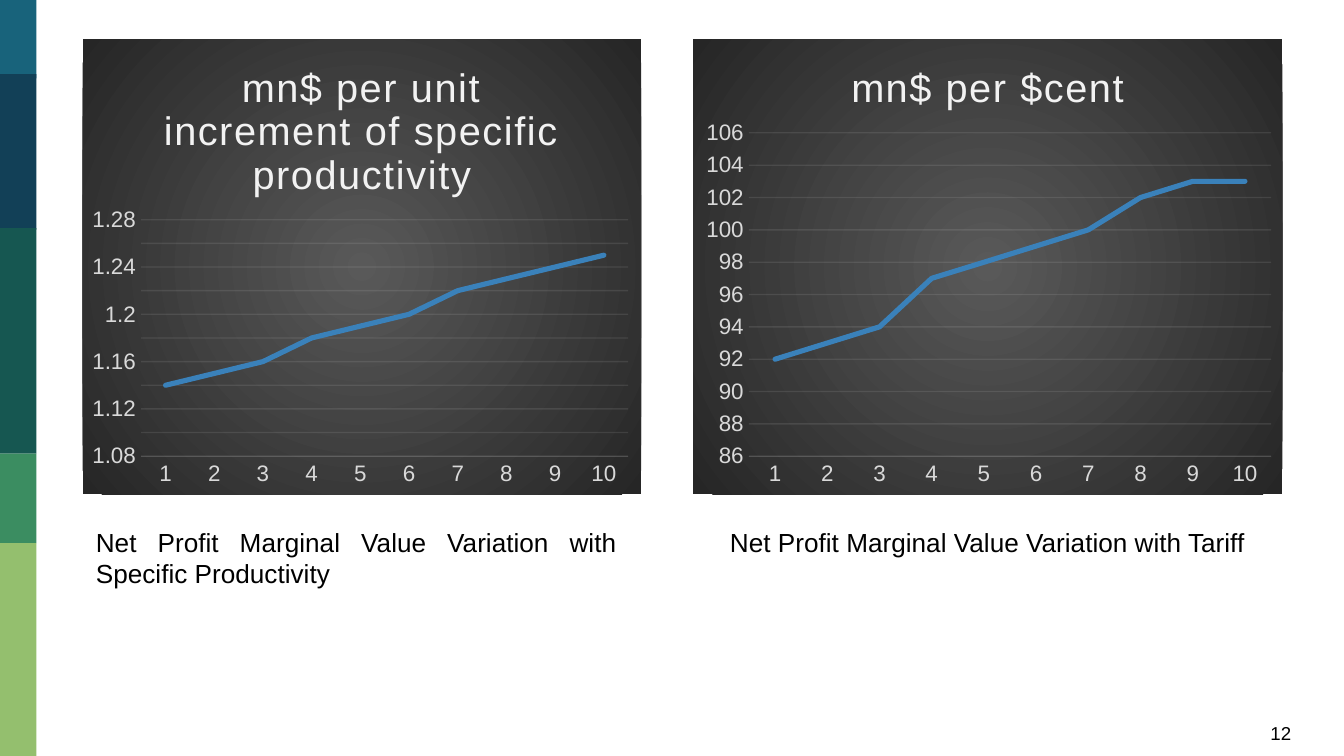
from lxml.etree import SubElement
from pptx import Presentation
from pptx.chart.data import CategoryChartData
from pptx.dml.color import RGBColor
from pptx.enum.chart import XL_CHART_TYPE as ChartType, XL_TICK_MARK as TickMark
from pptx.enum.shapes import MSO_SHAPE as ShapeType
from pptx.enum.text import MSO_AUTO_SIZE as AutoSize, PP_ALIGN as Align
from pptx.oxml import parse_xml
from pptx.oxml.ns import nsdecls, qn
from pptx.util import Pt

PX = 9525
STRIPES = [(0, 56, "18637B"), (53, 111, "124057"), (163, 161, "165751"),
           (324, 64, "3B8D61"), (388, 152, "94BF6E")]
CHARTS = [
    {"box": (59, 28, 399, 325), "plot": (42, 129, 348, 169),
     "title": "mn$ per unit increment of specific productivity",
     "values": [1.14, 1.15, 1.16, 1.18, 1.19, 1.2, 1.22, 1.23, 1.24, 1.25],
     "scale": {"minimum_scale": 1.08, "maximum_scale": 1.28, "major_unit": 0.02}},
    {"box": (495, 28, 421, 325), "plot": (40, 67, 373, 231),
     "title": "mn$ per $cent",
     "values": [92, 93, 94, 97, 98, 99, 100, 102, 103, 103],
     "scale": {"minimum_scale": 86, "maximum_scale": 106, "major_unit": 2}},
]
CAPTIONS = [
    ((59, 371, 391, 55), "Net Profit Marginal Value Variation with Specific Productivity"),
    ((512, 371, 396, 33), "Net Profit Marginal Value Variation with Tariff"),
]


def emu(box):
    """Turn a box in px into EMU lengths."""
    return [length * PX for length in box]


def color(hex_string):
    """Turn a hex string into a colour."""
    return RGBColor.from_string(hex_string)


def set_values(target, values):
    """Set each named attribute of the target."""
    for name, value in values.items():
        setattr(target, name, value)


def set_font(font, size, hex_string):
    """Give a font the slide's typeface, a size and a colour."""
    set_values(font, {"name": "Arial", "size": Pt(size), "bold": False})
    font.fill.solid()
    font.fill.fore_color.rgb = color(hex_string)


def set_faint_line(line):
    """Draw a thin, mostly transparent line."""
    line.width = Pt(0.75)
    line.color.rgb = color("F2F2F2")
    for element in line.fill._xPr.iter(qn("a:srgbClr")):
        SubElement(element, qn("a:alpha"), val="10000")


def add_stripes(slide, width):
    """Stack the coloured stripes along the left edge."""
    for top, height, fill in STRIPES:
        shape = slide.shapes.add_shape(ShapeType.RECTANGLE, *emu((0, top, width, height)))
        shape.shadow.inherit = False
        shape.fill.solid()
        shape.fill.fore_color.rgb = color(fill)
        shape.line.fill.background()


def add_glow(chart):
    """Fill the chart area with a round dark gradient."""
    stops = "".join(f'<a:gs pos="{position}"><a:srgbClr val="{value}"/></a:gs>'
                    for position, value in ((0, "595959"), (100000, "262626")))
    chart._chartSpace.find(qn("c:chart")).addnext(parse_xml(
        f'<c:spPr {nsdecls("c", "a")}><a:gradFill><a:gsLst>{stops}</a:gsLst>'
        '<a:path path="circle"><a:fillToRect l="50000" t="50000" r="50000" b="50000"/>'
        '</a:path></a:gradFill><a:ln><a:noFill/></a:ln></c:spPr>'))


def place_plot(chart, box, plot):
    """Place the inner plot area relative to the chart box."""
    fractions = [round(length / box[2 + index % 2], 3) for index, length in enumerate(plot)]
    area = chart._chartSpace.find(".//" + qn("c:plotArea"))
    for old in area.findall(qn("c:layout")):
        area.remove(old)
    places = "".join(f'<c:{name} val="{value}"/>' for name, value in zip("xywh", fractions))
    area.insert(0, parse_xml(
        f'<c:layout {nsdecls("c")}><c:manualLayout><c:layoutTarget val="inner"/>'
        f'<c:xMode val="edge"/><c:yMode val="edge"/>{places}</c:manualLayout></c:layout>'))


def add_line_chart(slide, box, plot, title, values, scale):
    """Add one dark line chart with its title."""
    data = CategoryChartData()
    data.categories = [str(number) for number in range(1, 11)]
    data.add_series("Series 1", values)
    chart = slide.shapes.add_chart(ChartType.LINE, *emu(box), data).chart
    set_font(chart.font, 10, "000000")
    chart.has_legend = False
    add_glow(chart)
    place_plot(chart, box, plot)

    paragraph = chart.chart_title.text_frame.paragraphs[0]
    run = paragraph.add_run()
    run.text = title
    set_font(run.font, 21.3, "F2F2F2")
    run.font._element.set("spc", "100")
    chart.chart_title.include_in_layout = False

    for axis in (chart.category_axis, chart.value_axis):
        set_values(axis, {"major_tick_mark": TickMark.NONE, "minor_tick_mark": TickMark.NONE})
        set_font(axis.tick_labels.font, 12, "D9D9D9")
    set_faint_line(chart.category_axis.format.line)
    value_axis = chart.value_axis
    set_values(value_axis, {"has_major_gridlines": True, **scale})
    set_values(value_axis.tick_labels, {"number_format": "General", "number_format_is_linked": False})
    value_axis.format.line.fill.background()
    set_faint_line(value_axis.major_gridlines.format.line)

    chart.plots[0].vary_by_categories = False
    series = chart.plots[0].series[0]
    series.smooth = False
    line = series.format.line
    line.width = Pt(2.75)
    line.color.rgb = color("3A81BA")
    line.fill._xPr.set("cap", "rnd")


def add_text(slide, box, text, size, alignment):
    """Add one wrapped text box."""
    frame = slide.shapes.add_textbox(*emu(box)).text_frame
    set_values(frame, {"word_wrap": True, "auto_size": AutoSize.SHAPE_TO_FIT_TEXT})
    paragraph = frame.paragraphs[0]
    paragraph.alignment = alignment
    run = paragraph.add_run()
    run.text = text
    set_font(run.font, size, "000000")


def main():
    """Build and save the slide."""
    presentation = Presentation()
    set_values(presentation, {"slide_width": 960 * PX, "slide_height": 540 * PX})
    slide = presentation.slides.add_slide(presentation.slide_layouts[6])
    add_stripes(slide, 26)
    for chart in CHARTS:
        add_line_chart(slide, **chart)
    for box, text in CAPTIONS:
        add_text(slide, box, text, 14, Align.JUSTIFY)
    add_text(slide, (898, 511, 45, 26), "12", 10, Align.LEFT)
    presentation.save("out.pptx")


if __name__ == "__main__":
    main()
